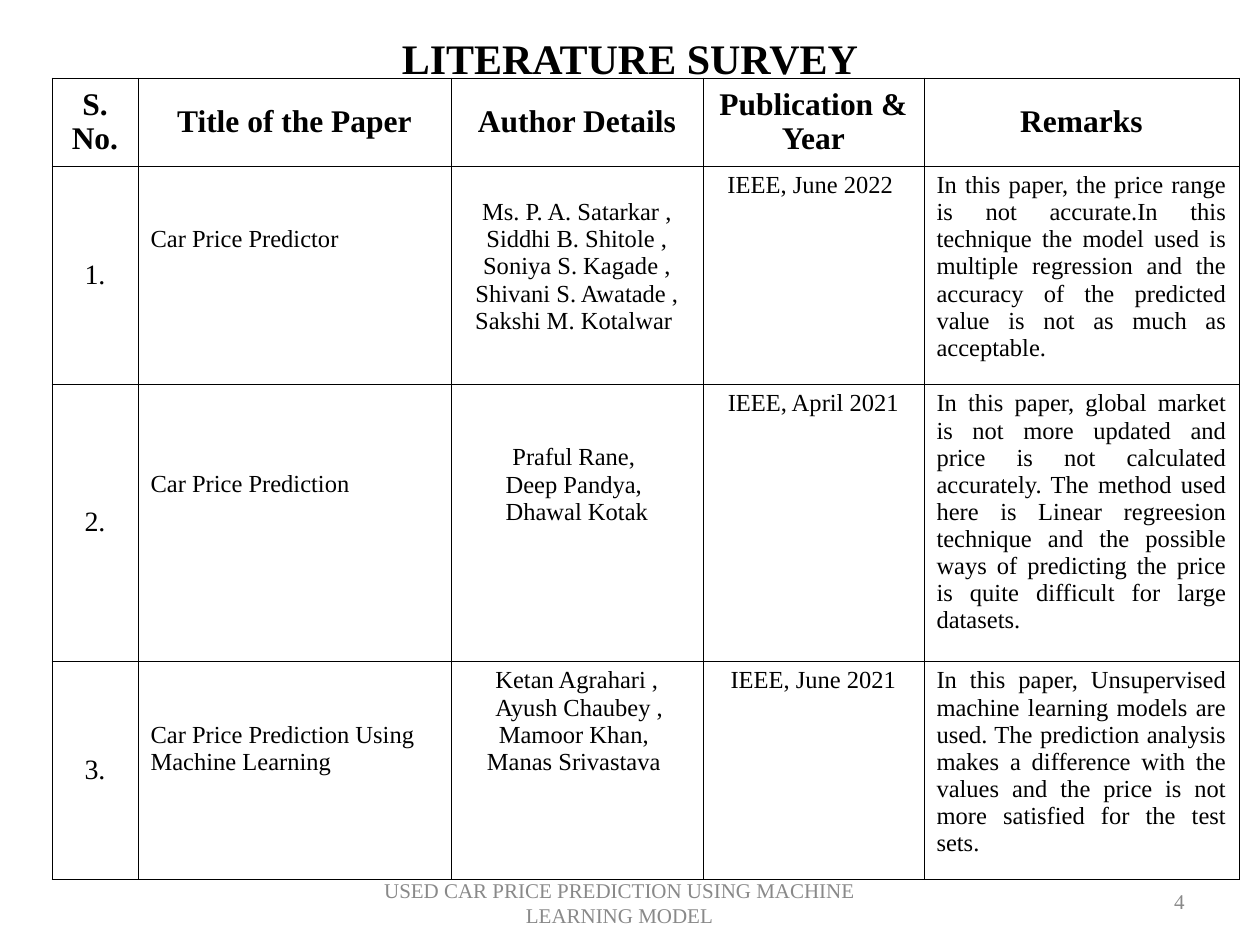
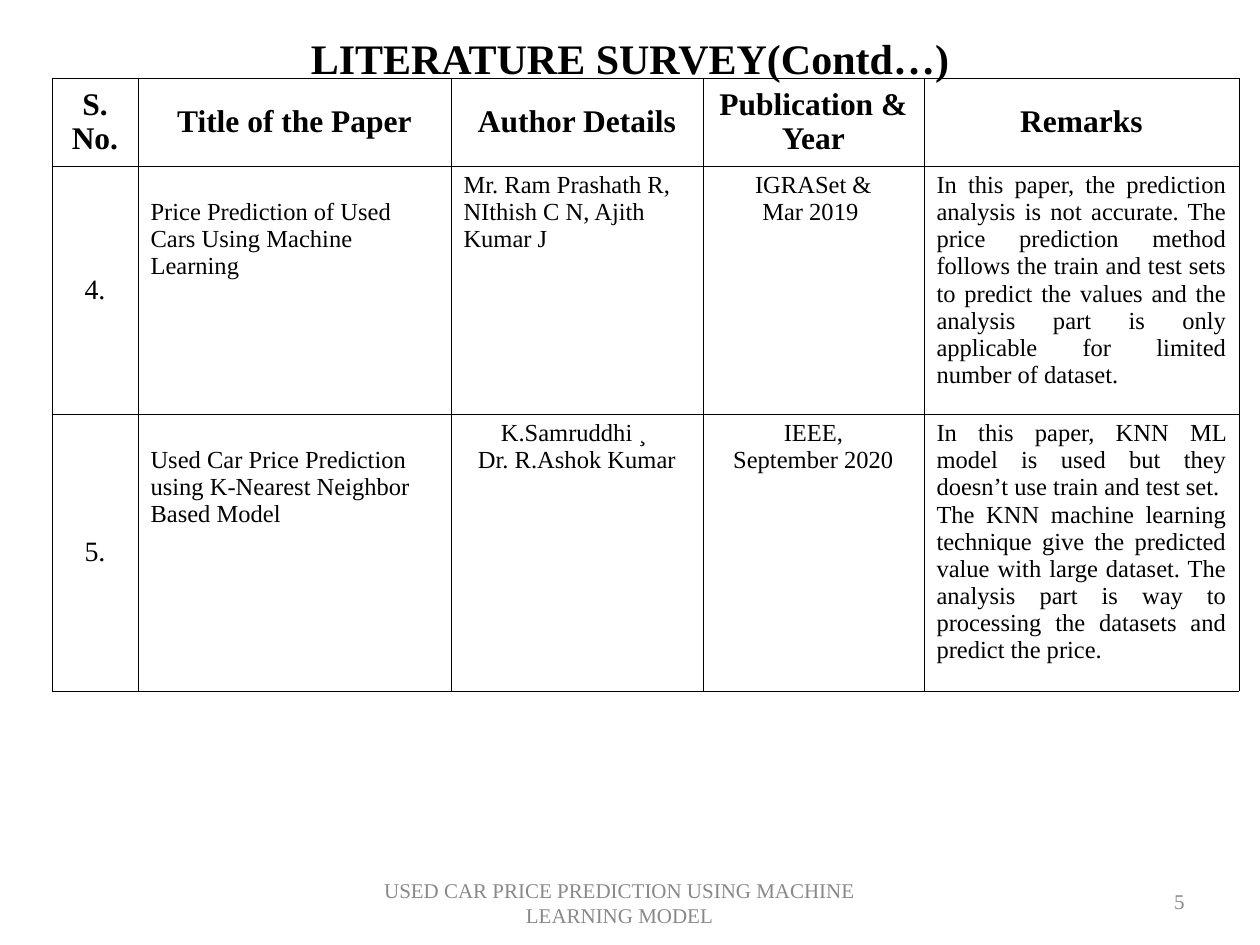
from dataclasses import dataclass

from lxml import etree
from pptx import Presentation
from pptx.dml.color import RGBColor
from pptx.enum.text import MSO_ANCHOR, PP_ALIGN
from pptx.oxml.ns import qn
from pptx.util import Emu, Pt

LEFT, CENTER, RIGHT, JUSTIFY = PP_ALIGN.LEFT, PP_ALIGN.CENTER, PP_ALIGN.RIGHT, PP_ALIGN.JUSTIFY
TOP, MIDDLE = MSO_ANCHOR.TOP, MSO_ANCHOR.MIDDLE


@dataclass(frozen=True)
class Theme:
    font: str = "Times New Roman"
    ink: RGBColor = RGBColor(0x00, 0x00, 0x00)
    muted: RGBColor = RGBColor(0x89, 0x89, 0x89)
    title: int = 24
    header: int = 18
    number: int = 16
    body: int = 14
    footer: int = 12
    border: float = 0.45


THEME = Theme()
PX = 914400 / 126  # EMU per px

# Shared geometry in px
TABLE_LEFT, TABLE_TOP = 52, 78
COLUMN_WIDTHS = [86, 313, 252, 221, 315]
HEADER_HEIGHT = 88
CELL_MARGIN_TOP, BODY_LINE = 6, 27

# Shared wording
HEADERS = ["S.\nNo.", "Title of the Paper", "Author Details", "Publication & Year", "Remarks"]
FOOTER = "USED CAR PRICE PREDICTION USING MACHINE LEARNING MODEL"


def px(length):
    return Emu(round(length * PX))


def write(frame, text, size, align, bold=False, color=THEME.ink, spacing=None):
    frame.word_wrap = True
    font_values = {"name": THEME.font, "size": Pt(size), "bold": bold}
    for index, line in enumerate(text.split("\n")):
        para = frame.paragraphs[0] if index == 0 else frame.add_paragraph()
        para.alignment = align
        para.line_spacing = spacing
        span = para.add_run()
        span.text = line
        for name, value in font_values.items():
            setattr(span.font, name, value)
        span.font.color.rgb = color


# Each paper: row height, lines skipped above title and authors, author alignment, texts
PAPERS = [
    (218, 2, 1, CENTER, [
        "Car Price Predictor",
        "Ms. P. A. Satarkar , Siddhi B. Shitole , Soniya S. Kagade , "
        "Shivani S. Awatade , Sakshi M. Kotalwar ",
        "IEEE, June 2022 ",
        "In this paper, the price range is not accurate.In this technique the model used is "
        "multiple regression and the accuracy of the predicted value is not as much as acceptable.",
    ]),
    (277, 3, 2, CENTER, [
        "Car Price Prediction",
        "Praful Rane, \nDeep Pandya, \nDhawal Kotak",
        "IEEE, April 2021",
        "In this paper, global market is not more updated and price is not calculated accurately. "
        "The method used here is Linear regreesion technique and the possible ways of predicting "
        "the price is quite difficult for large datasets.",
    ]),
    (218, 2, 0, CENTER, [
        "Car Price Prediction Using Machine Learning",
        "Ketan Agrahari ,\n Ayush Chaubey , Mamoor Khan, \nManas Srivastava ",
        "IEEE, June 2021",
        "In this paper, Unsupervised machine learning models are used. The prediction analysis "
        "makes a difference with the values and the price is not more satisfied for the test sets.",
    ]),
    (248, 1, 0, LEFT, [
        "Price Prediction of Used Cars Using Machine Learning",
        "Mr. Ram Prashath R, NIthish C N, Ajith Kumar J",
        "IGRASet &\nMar 2019 ",
        "In this paper, the prediction analysis is not accurate. The price prediction method "
        "follows the train and test sets to predict the values and the analysis part is only "
        "applicable for limited number of dataset.",
    ]),
    (277, 1, 0, CENTER, [
        "Used Car Price Prediction using K-Nearest Neighbor Based Model",
        "K.Samruddhi ¸ \nDr. R.Ashok Kumar",
        "IEEE,\nSeptember 2020",
        "In this paper, KNN ML model is used but they doesn’t use train and test set.\n"
        "The KNN machine learning technique give the predicted value with large dataset. "
        "The analysis part is way to processing the datasets and predict the price.",
    ]),
]

# Each page: title, page number, tables as (has header, first paper, end)
PAGES = [
    ("LITERATURE SURVEY", "4", [(True, 0, 3)]),
    ("LITERATURE SURVEY(Contd…)", "5", [(True, 3, 4), (False, 4, 5)]),
]

deck = Presentation()
deck.slide_width, deck.slide_height = px(1260), px(945)

for title, page_number, tables in PAGES:
    page = deck.slides.add_slide(deck.slide_layouts[6])

    # Title, footer and page number
    for area, text, size, align, bold, color, spacing in [
        ((21, 3, 1218, 84), title, THEME.title, CENTER, True, THEME.ink, 1.5),
        ((352, 878, 535, 50), FOOTER, THEME.footer, CENTER, False, THEME.muted, None),
        ((903, 876, 294, 50), page_number, THEME.footer, RIGHT, False, THEME.muted, None),
    ]:
        box = page.shapes.add_textbox(*map(px, area))
        box.text_frame.vertical_anchor = MIDDLE
        write(box.text_frame, text, size, align, bold, color, spacing)

    # Survey tables, stacked without a gap
    top = TABLE_TOP
    for has_header, first, end in tables:
        # Each cell: text, type size, alignment, bold, anchor, lines skipped
        heights, rows = [], []
        if has_header:
            heights.append(HEADER_HEIGHT)
            rows.append([(text, THEME.header, CENTER, True, MIDDLE, 0) for text in HEADERS])
        for index in range(first, end):
            height, title_skip, author_skip, author_align, texts = PAPERS[index]
            heights.append(height)
            aligns = [LEFT, author_align, CENTER, JUSTIFY]
            skips = [title_skip, author_skip, 0, 0]
            rows.append([(f"{index + 1}.", THEME.number, CENTER, False, MIDDLE, 0)] + [
                (text, THEME.body, align, False, TOP, skip)
                for text, align, skip in zip(texts, aligns, skips)])

        table = page.shapes.add_table(
            len(rows), len(COLUMN_WIDTHS), px(TABLE_LEFT), px(top),
            px(sum(COLUMN_WIDTHS)), px(sum(heights))).table
        table.first_row = table.horz_banding = False
        for column, width in zip(table.columns, COLUMN_WIDTHS):
            column.width = px(width)

        for row_index, (height, row) in enumerate(zip(heights, rows)):
            table.rows[row_index].height = px(height)
            for column_index, (text, size, align, bold, anchor, skip) in enumerate(row):
                cell = table.cell(row_index, column_index)
                cell.vertical_anchor = anchor
                cell.margin_top = px(CELL_MARGIN_TOP + skip * BODY_LINE)
                write(cell.text_frame, text, size, align, bold)

                # Thin border on all four sides
                properties = cell._tc.get_or_add_tcPr()
                for side in ("a:lnL", "a:lnR", "a:lnT", "a:lnB"):
                    line = etree.SubElement(properties, qn(side), w=str(Pt(THEME.border)))
                    fill = etree.SubElement(line, qn("a:solidFill"))
                    etree.SubElement(fill, qn("a:srgbClr"), val=str(THEME.ink))
                cell.fill.background()
        top += sum(heights)

deck.save("out.pptx")
